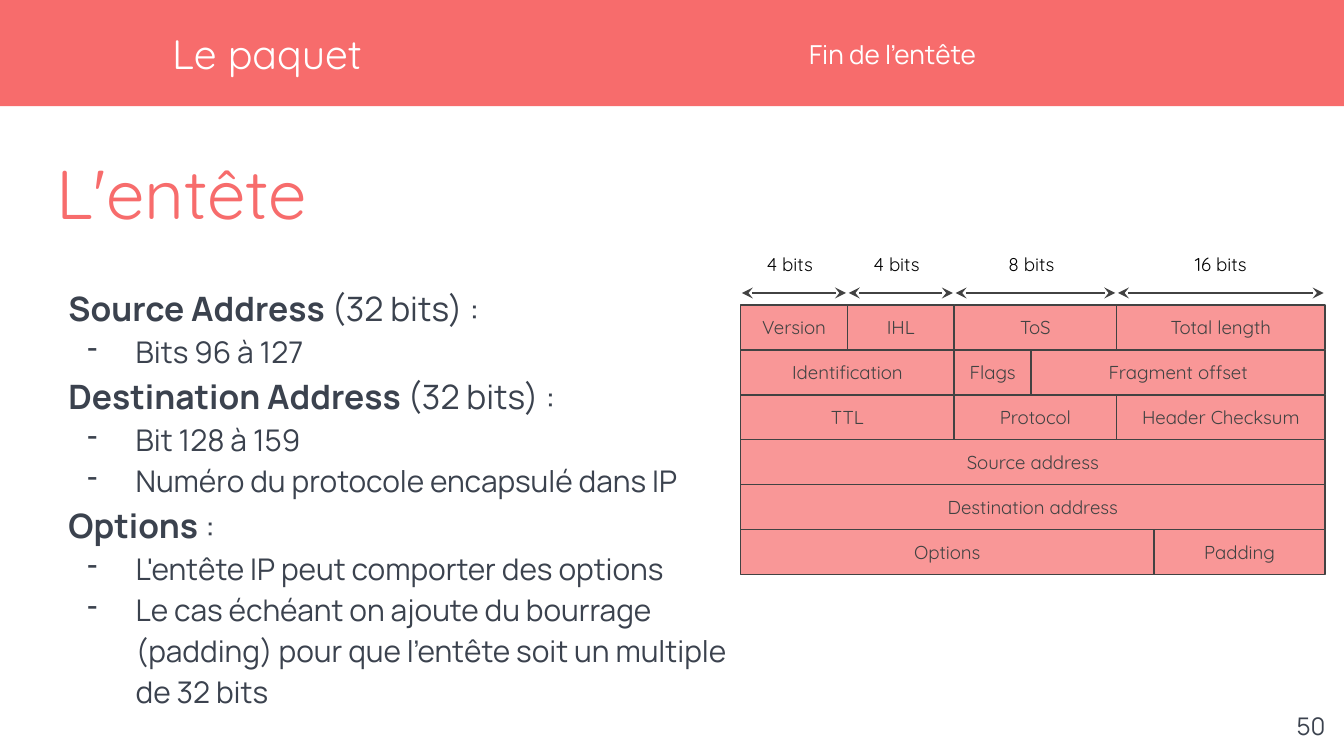
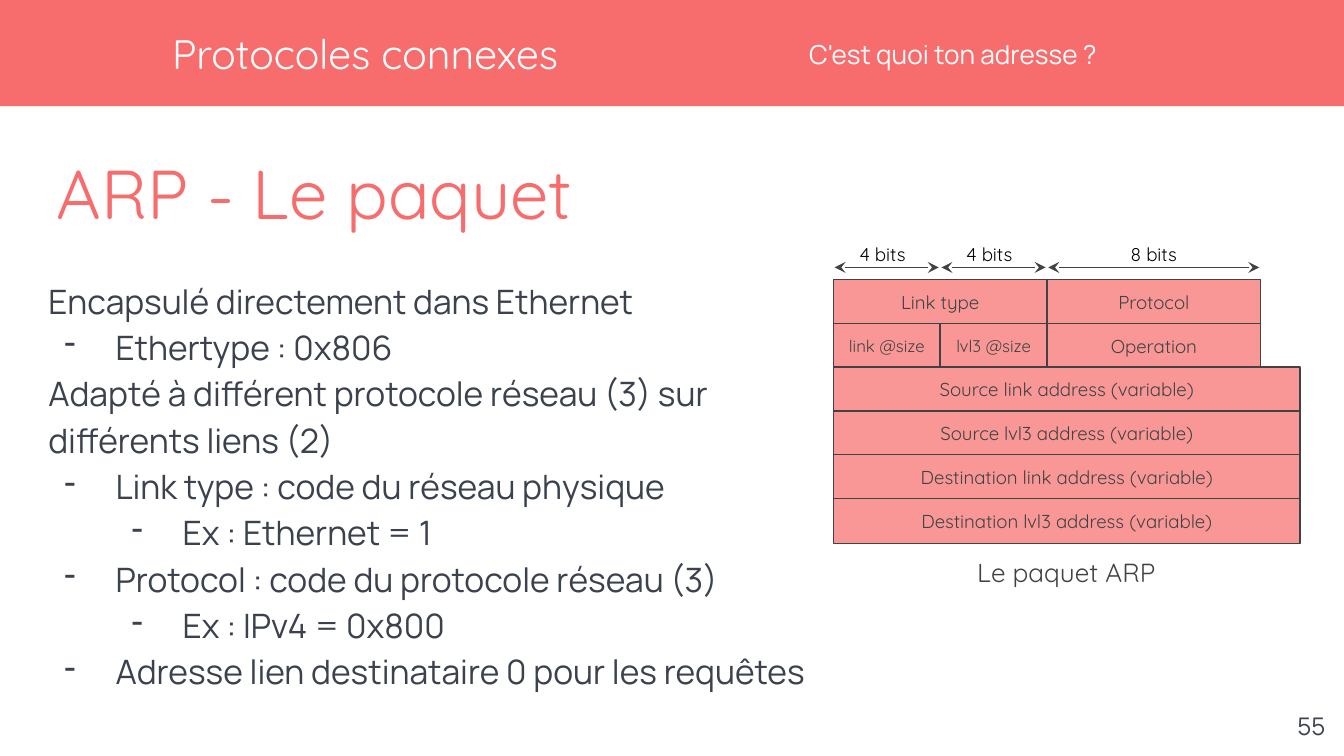
from lxml import etree
from pptx import Presentation
from pptx.dml.color import RGBColor
from pptx.enum.shapes import MSO_CONNECTOR, MSO_SHAPE
from pptx.enum.text import MSO_ANCHOR, PP_ALIGN
from pptx.oxml.ns import qn
from pptx.util import Inches, Pt

LEFT, CENTER, RIGHT = PP_ALIGN.LEFT, PP_ALIGN.CENTER, PP_ALIGN.RIGHT
TOP, MIDDLE = MSO_ANCHOR.TOP, MSO_ANCHOR.MIDDLE
RECT, LINE = MSO_SHAPE.RECTANGLE, MSO_CONNECTOR.STRAIGHT

# Every length counts units of a grid 100 wide and 56.25 high
UNIT = Inches(0.1)
WIDE, HIGH = 100, 56.25
BIT_COL = 7.95  # width of a 4-bit field
CELL_H = 3.33

COLORS = {"band": "F76C6C", "cell": "F99797", "edge": "424242",
          "text": "3B424E", "white": "FFFFFF", "black": "000000"}

# Text styles: font name, size, colour
STYLES = {
    "head": ("Quicksand", 22, "white"),
    "sub": ("Manrope", 14, "white"),
    "title": ("Quicksand", 37, "band"),
    "page": ("Manrope", 13, "text"),
    "cell": ("Quicksand", 10, "edge"),
    "small": ("Quicksand", 9, "edge"),
    "scale": ("Quicksand", 10, "black"),
    "note": ("Quicksand", 14, "edge"),
    "body": ("Manrope", 18, "text"),
}


def grid(*vals):
    return [round(val * UNIT) for val in vals]


def color(name):
    return RGBColor.from_string(COLORS[name])


def add_run(para, text, style, size=None, bold=False):
    name, points, ink = STYLES[style]
    run = para.add_run()
    run.text = text
    form = {"name": name, "size": Pt(size or points), "bold": bold}
    for key, val in form.items():
        setattr(run.font, key, val)
    run.font.color.rgb = color(ink)


def set_frame(shape, anchor, pad):
    frame = shape.text_frame
    form = {"word_wrap": True, "vertical_anchor": anchor}
    form.update({f"margin_{side}": grid(pad)[0]
                 for side in ("left", "right", "top", "bottom")})
    for key, val in form.items():
        setattr(frame, key, val)
    return frame


def add_text(slide, box, text, style, align=LEFT, anchor=MIDDLE, pad=0):
    frame = set_frame(slide.shapes.add_textbox(*grid(*box)), anchor, pad)
    para = frame.paragraphs[0]
    para.alignment = align
    add_run(para, text, style)


def add_rect(slide, box, fill, edge=None):
    shape = slide.shapes.add_shape(RECT, *grid(*box))
    shape.shadow.inherit = False
    shape.fill.solid()
    shape.fill.fore_color.rgb = color(fill)
    if edge:
        shape.line.color.rgb = color(edge)
        shape.line.width = Pt(0.75)
    else:
        shape.line.fill.background()
    return shape


def add_cell(slide, box, text, style):
    shape = add_rect(slide, box, "cell", "edge")
    para = set_frame(shape, MIDDLE, 0.4).paragraphs[0]
    para.alignment = CENTER
    add_run(para, text, style)


def add_arrow(slide, start, end, row):
    line = slide.shapes.add_connector(LINE, *grid(start, row, end, row))
    line.line.color.rgb = color("edge")
    line.line.width = Pt(0.75)
    for tag in ("a:headEnd", "a:tailEnd"):
        etree.SubElement(line.line._get_or_add_ln(), qn(tag), type="stealth")
    etree.SubElement(line._element.spPr, qn("a:effectLst"))


def spans(left, fields):
    """Yield each field with its left edge and width."""
    for text, cols, *rest in fields:
        yield text, left, cols * BIT_COL, rest
        left += cols * BIT_COL


def add_packet(slide, left, top, pitch, lift, scale, rows):
    # Bit widths and their arrows
    for text, start, width, (align,) in spans(left, scale):
        add_arrow(slide, start + 0.1, start + width - 0.1, top - 0.9)
        room = 6 if align == LEFT else 7.7
        box = (start + (width - room) / 2, top - lift, room, 3.7)
        add_text(slide, box, text, "scale", align, TOP, 1)
    # Header fields
    for num, row in enumerate(rows):
        for text, start, width, rest in spans(left, row):
            box = (start, top + num * pitch, width, CELL_H)
            add_cell(slide, box, text, rest[0] if rest else "cell")


def add_body(slide, box, items, hang, sub_size):
    """Items hold a level, a bold start and the rest of the line."""
    frame = set_frame(slide.shapes.add_textbox(*grid(*box)), MIDDLE, 0)
    for num, (level, strong, plain) in enumerate(items):
        para = frame.add_paragraph() if num else frame.paragraphs[0]
        para.line_spacing = 1.15
        para.level = max(level - 1, 0)
        size = sub_size if level else None
        if strong:
            add_run(para, strong, "body", size, True)
        add_run(para, plain, "body", size)
        if level:
            add_dash(para, level, hang)


def add_dash(para, level, hang):
    props = para._p.get_or_add_pPr()
    margin, indent = grid(5 * level, -hang)
    props.set("marL", str(margin))
    props.set("indent", str(indent))
    ink = etree.SubElement(props, qn("a:buClr"))
    etree.SubElement(ink, qn("a:srgbClr"), val=COLORS["text"])
    etree.SubElement(props, qn("a:buChar"), char="-")


def add_slide(deck, head, sub, title, page):
    slide = deck.slides.add_slide(deck.slide_layouts[6])
    add_rect(slide, (-0.2, 0, WIDE + 0.4, 7.9), "band")
    add_text(slide, (12.8, 0, 46.9, 7.9), head, "head")
    add_text(slide, (60.2, 2.1, 38.4, 3.9), sub, "sub")
    add_text(slide, (4.2, 11.2, 92.6, 5.8), title, "title", anchor=TOP)
    add_text(slide, (93.6, 51.9, 6, 4.3), page, "page", RIGHT, TOP, 1)
    return slide


def build_header(deck):
    slide = add_slide(deck, "Le paquet", "Fin de l'entête", "L'entête", "50")
    add_body(slide, (5.1, 19.4, 50, 35), [
        (0, "Source Address", " (32 bits) :"),
        (1, "", "Bits 96 à 127"),
        (0, "Destination Address", " (32 bits) :"),
        (1, "", "Bit 128 à 159"),
        (1, "", "Numéro du protocole encapsulé dans IP"),
        (0, "Options", " :"),
        (1, "", "L'entête IP peut comporter des options"),
        (1, "", "Le cas échéant on ajoute du bourrage (padding) pour que "
                "l'entête soit un multiple de 32 bits"),
    ], 3.6, 16)
    scale = [("4 bits", 1, LEFT), ("4 bits", 1, LEFT),
             ("8 bits", 1.52, LEFT), ("16 bits", 1.95, CENTER)]
    add_packet(slide, 55.1, 22.7, 3.34, 4.7, scale, [
        [("Version", 1), ("IHL", 1), ("ToS", 1.52), ("Total length", 1.95)],
        [("Identification", 2), ("Flags", 0.72), ("Fragment offset", 2.75)],
        [("TTL", 2), ("Protocol", 1.52), ("Header Checksum", 1.95)],
        [("Source address", 5.47)],
        [("Destination address", 5.47)],
        [("Options", 3.87), ("Padding", 1.6)],
    ])


def build_arp(deck):
    slide = add_slide(deck, "Protocoles connexes", "C'est quoi ton adresse ?",
                      "ARP - Le paquet", "55")
    add_body(slide, (3.6, 17.1, 57.7, 37.7), [
        (0, "", "Encapsulé directement dans Ethernet"),
        (1, "", "Ethertype : 0x806"),
        (0, "", "Adapté à différent protocole réseau (3) sur différents "
                "liens (2)"),
        (1, "", "Link type : code du réseau physique"),
        (2, "", "Ex : Ethernet = 1"),
        (1, "", "Protocol : code du protocole réseau (3)"),
        (2, "", "Ex : IPv4 = 0x800"),
        (1, "", "Adresse lien destinataire 0 pour les requêtes"),
    ], 3.8, 18)
    scale = [("4 bits", 1, LEFT), ("4 bits", 1, LEFT), ("8 bits", 2, CENTER)]
    add_packet(slide, 62, 20.8, 3.26, 3.6, scale, [
        [("Link type", 2), ("Protocol", 2)],
        [("link @size", 1, "small"), ("lvl3 @size", 1, "small"),
         ("Operation", 2)],
        [("Source link address (variable)", 4.37)],
        [("Source lvl3 address (variable)", 4.37)],
        [("Destination link address (variable)", 4.37)],
        [("Destination lvl3 address (variable)", 4.37)],
    ])
    add_text(slide, (69.2, 40.4, 20.3, 4.4), "Le paquet ARP", "note",
             CENTER, pad=1)


def main():
    deck = Presentation()
    deck.slide_width, deck.slide_height = grid(WIDE, HIGH)
    build_header(deck)
    build_arp(deck)
    deck.save("out.pptx")


if __name__ == "__main__":
    main()
